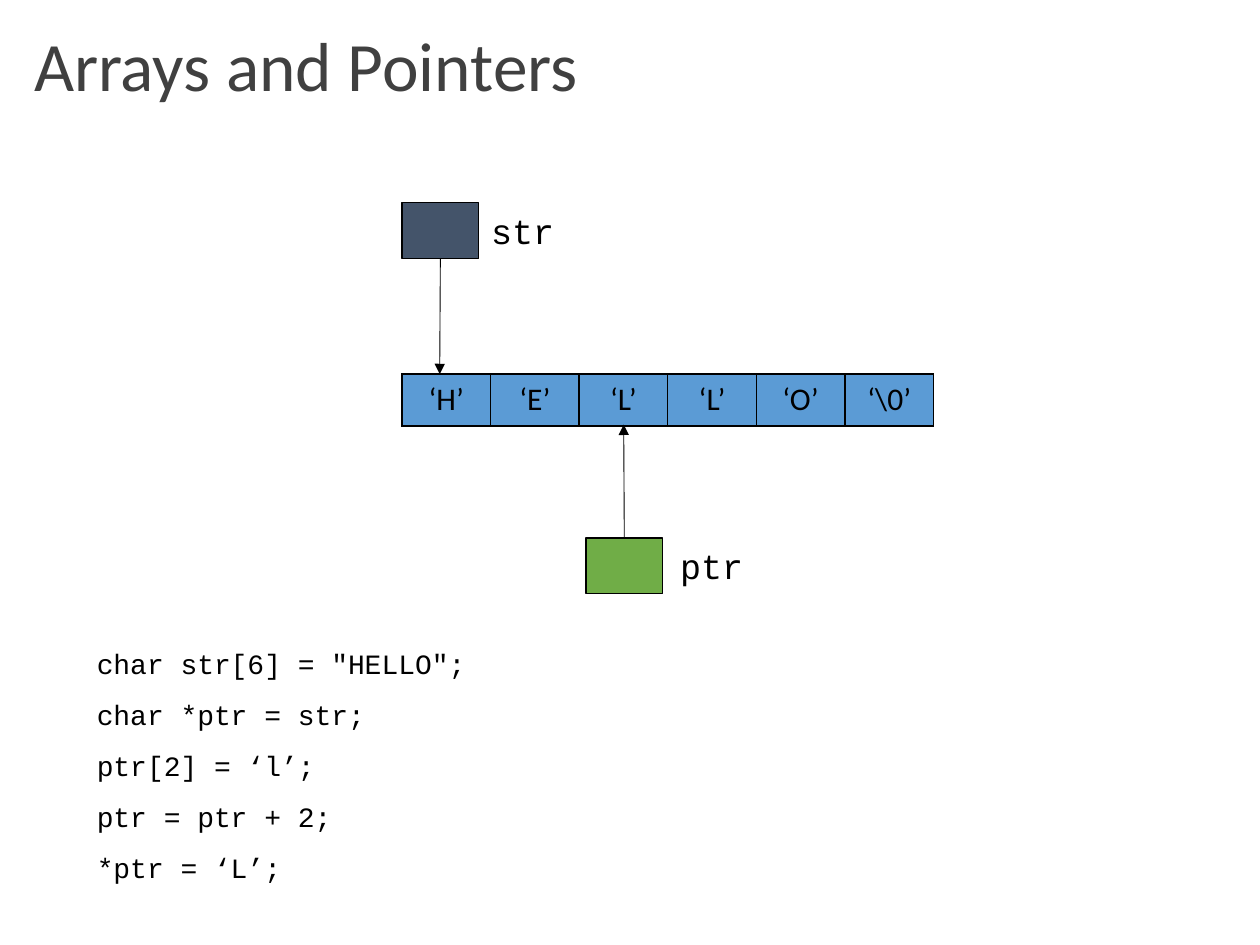
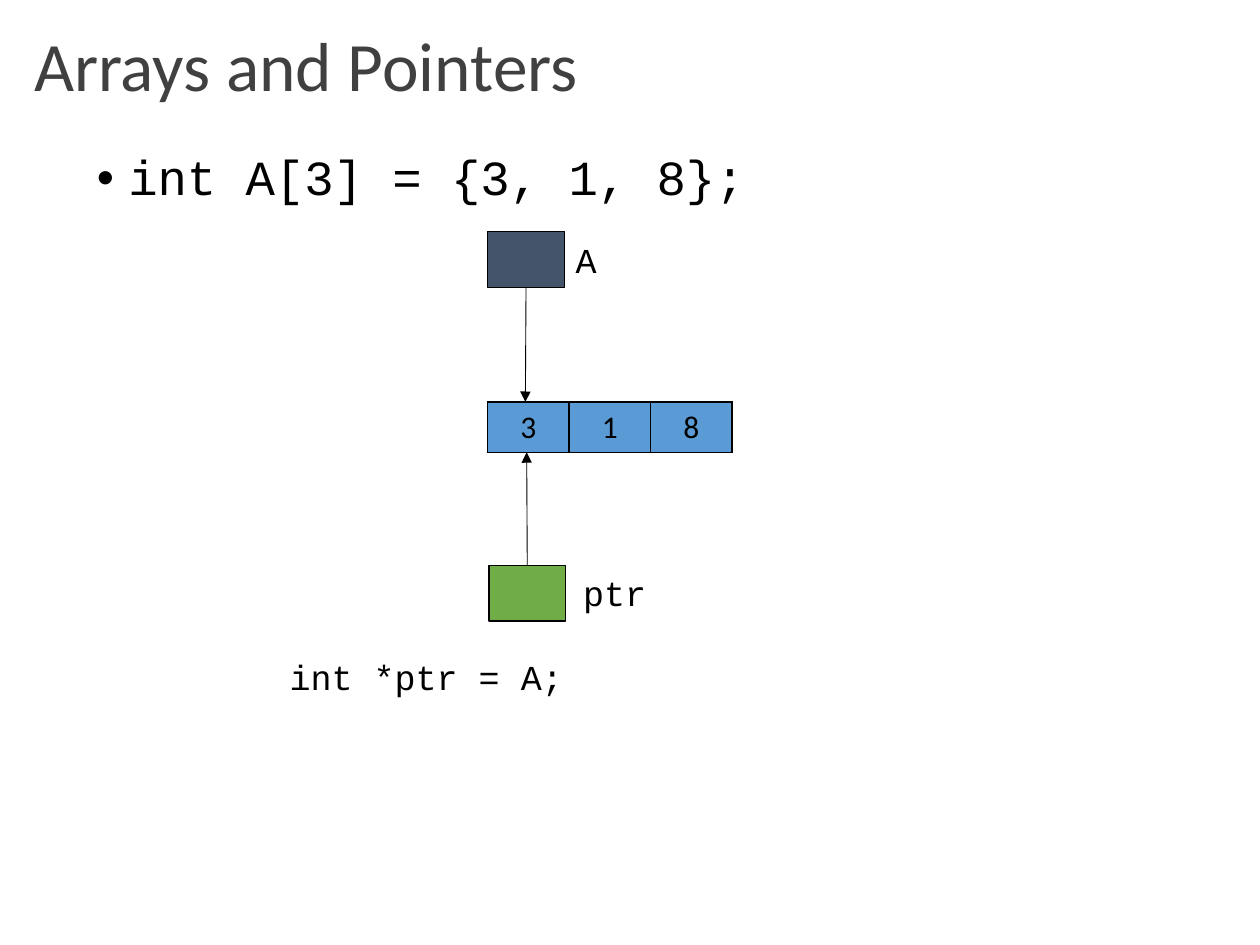
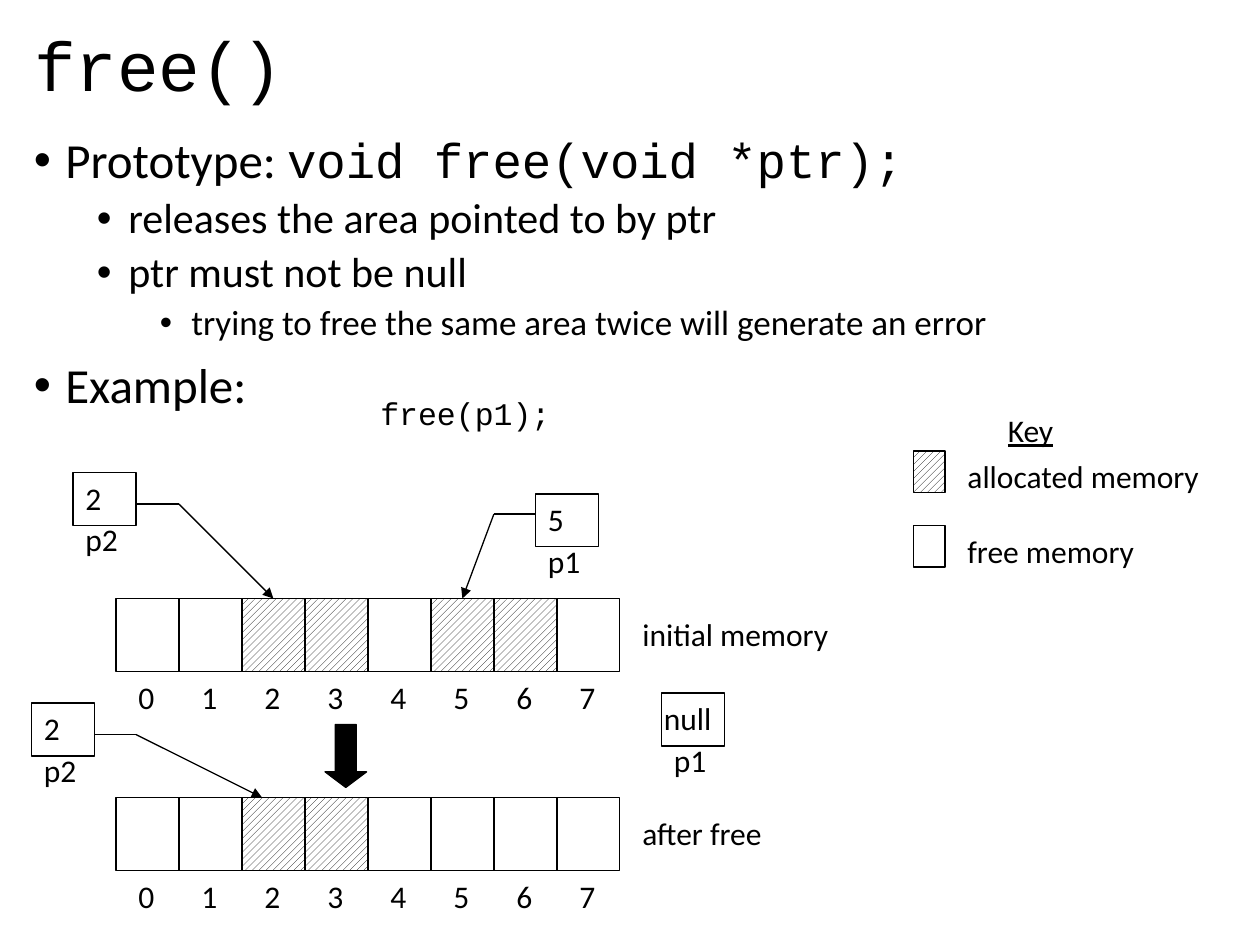
from lxml import etree
from pptx import Presentation
from pptx.dml.color import RGBColor
from pptx.enum.dml import MSO_PATTERN
from pptx.enum.shapes import MSO_CONNECTOR, MSO_SHAPE
from pptx.enum.text import MSO_ANCHOR, MSO_AUTO_SIZE, PP_ALIGN
from pptx.oxml import parse_xml
from pptx.oxml.ns import nsdecls, qn
from pptx.util import Inches, Pt

RECTANGLE = MSO_SHAPE.RECTANGLE
DOWN_ARROW = MSO_SHAPE.DOWN_ARROW
STRAIGHT = MSO_CONNECTOR.STRAIGHT
HATCH = MSO_PATTERN.WIDE_UPWARD_DIAGONAL
MIDDLE = MSO_ANCHOR.MIDDLE
CENTER = PP_ALIGN.CENTER
FIT_SHAPE = MSO_AUTO_SIZE.SHAPE_TO_FIT_TEXT
TOP, BOTTOM = 0, 2

SANS, MONO = "Calibri", "Courier New"
BLACK, WHITE, GRAY = "000000", "FFFFFF", "404040"
NAVY, GREEN, BLUE = "44546A", "70AD47", "5B9BD5"
HATCHED = "hatched"

TITLE_AT = (0.17, 0.18, 9.62, 0.74)
POINTER_SIZE = (0.61, 0.44)
LABEL_SIZE = (1.51, 0.43)
BULLETS = [(28, 0.25, 10), (24, 0.75, 5), (20, 1.25, 5)]

ARRAY_PAGES = [
    {
        "bullets": [],
        "bullets_at": None,
        "code": ['char str[6] = "HELLO";', "char *ptr = str;", "ptr[2] = ‘l’;",
                 "ptr = ptr + 2;", "*ptr = ‘L’;"],
        "code_at": (0.67, 5.08, 5.73, 1.95),
        "code_size": 16,
        "cells": ["‘H’", "‘E’", "‘L’", "‘L’", "‘O’", "‘\\0’"],
        "cells_at": (3.19, 2.97, 4.22, 0.41),
        "pointers": [
            ("str", NAVY, (3.19, 1.61), 3.8, BOTTOM, (3.49, 2.97)),
            ("ptr", GREEN, (4.65, 4.27), 5.3, TOP, (4.95, 3.37)),
        ],
    },
    {
        "bullets": [(0, [("int A[3] = {3, 1, 8};", MONO)])],
        "bullets_at": (0.67, 1.17, 5.73, 1.64),
        "code": ["int *ptr = A;"],
        "code_at": (2.2, 5.15, 4.26, 1.64),
        "code_size": 20,
        "cells": ["3", "1", "8"],
        "cells_at": (3.87, 3.19, 1.94, 0.4),
        "pointers": [
            ("A", NAVY, (3.87, 1.84), 4.47, BOTTOM, (4.17, 3.19)),
            ("ptr", GREEN, (3.88, 4.49), 4.53, TOP, (4.18, 3.59)),
        ],
    },
]

FREE_BULLETS = [
    (0, [("Prototype: ", SANS), ("void free(void *ptr);", MONO)]),
    (1, [("releases the area pointed to by ptr", SANS)]),
    (1, [("ptr must not be null", SANS)]),
    (2, [("trying to free the same area twice will generate an error", SANS)]),
    (0, [("Example:", SANS)]),
]
SLOT_COUNT, SLOT_WIDTH, SLOT_HEIGHT, MEMORY_LEFT = 8, 0.5, 0.58, 0.92
MEMORIES = [
    ("initial memory", 1.74, 4.75, (2, 3, 5, 6)),
    ("after free", 1.2, 6.33, (2, 3)),
]
VARIABLES = [
    ("p2", "2", 0.34, (0.58, 3.75), 0),
    ("p1", "5", 0.34, (4.25, 3.92), 0),
    ("p2", "2", 0.34, (0.25, 5.58), 0),
    ("p1", "null", 0.59, (5.25, 5.5), -0.08),
]
POINTER_PATHS = [
    ((1.08, 4), (1.42, 4), (2.17, 4.75), (0, 2)),
    ((4.25, 4.08), (3.92, 4.08), (3.67, 4.75), (0, 5)),
    ((0.75, 5.83), (1.08, 5.83), (2.08, 6.33), None),
]
KEY = [
    ("allocated memory", 2.17, 3.58, HATCHED),
    ("free memory", 1.6, 4.17, None),
]


def color(value):
    return RGBColor.from_string(value)


def inches(values):
    return [Inches(value) for value in values]


def write(frame, text, size=18, font=SANS, ink=BLACK, level=0, bullet_indent=None,
          before=None, line_spacing=None, align=None, underline=None):
    para = frame.paragraphs[0]
    if para.runs:
        para = frame.add_paragraph()
    para.level = level
    para.alignment = align
    para.line_spacing = line_spacing
    para.space_before = None if before is None else Pt(before)
    spans = [(text, font)] if isinstance(text, str) else text
    for words, face in spans:
        span = para.add_run()
        span.text = words
        span.font.name = face
        span.font.size = Pt(size)
        span.font.underline = underline
        span.font.color.rgb = color(ink)
    if bullet_indent is not None:
        properties = para._p.get_or_add_pPr()
        properties.set("marL", str(Inches(bullet_indent)))
        properties.set("indent", str(Inches(-0.25)))
        etree.SubElement(properties, qn("a:buFont")).set("typeface", "Arial")
        etree.SubElement(properties, qn("a:buChar")).set("char", "•")


def add_frame(page, at):
    frame = page.shapes.add_textbox(*inches(at)).text_frame
    frame.word_wrap = True
    return frame


def add_label(page, text, left, top, width, **style):
    frame = add_frame(page, (left, top, width, 0.4))
    frame.word_wrap = False
    frame.auto_size = FIT_SHAPE
    write(frame, text, **style)


def add_bullets(page, at, items):
    frame = add_frame(page, at)
    for level, spans in items:
        size, indent, before = BULLETS[level]
        write(frame, spans, size=size, level=level, bullet_indent=indent,
              before=before, line_spacing=0.9)


def add_box(page, at, fill=None, preset=RECTANGLE):
    box = page.shapes.add_shape(preset, *inches(at))
    box.shadow.inherit = False
    box.line.color.rgb = color(BLACK)
    box.line.width = Pt(0.75)
    if fill is None:
        box.fill.background()
    elif fill == HATCHED:
        box.fill.patterned()
        box.fill.pattern = HATCH
        box.fill.fore_color.rgb = color(BLACK)
        box.fill.back_color.rgb = color(WHITE)
    else:
        box.fill.solid()
        box.fill.fore_color.rgb = color(fill)
    return box


def add_line(page, start, end, width=0.75, arrow=False):
    line = page.shapes.add_connector(STRAIGHT, *inches(start + end))
    line.line.color.rgb = color(BLACK)
    line.line.width = Pt(width)
    if arrow:
        etree.SubElement(line.line._get_or_add_ln(), qn("a:tailEnd")).set("type", "triangle")
    etree.SubElement(line._element.spPr, qn("a:effectLst"))
    return line


def add_cells(page, at, values):
    table = page.shapes.add_table(1, len(values), *inches(at)).table
    table.first_row = table.horz_banding = False
    for column, value in enumerate(values):
        table.columns[column].width = Inches(at[2] / len(values))
        cell = table.cell(0, column)
        cell.fill.solid()
        cell.fill.fore_color.rgb = color(BLUE)
        cell.vertical_anchor = MIDDLE
        write(cell.text_frame, value, align=CENTER)
        properties = cell._tc.get_or_add_tcPr()
        for place, side in enumerate("LRTB"):
            properties.insert(place, parse_xml(
                f'<a:ln{side} {nsdecls("a")} w="{Pt(1)}"><a:solidFill>'
                f'<a:srgbClr val="{BLACK}"/></a:solidFill></a:ln{side}>'))


def add_page(deck, title, font=SANS, ink=GRAY):
    page = deck.slides.add_slide(deck.slide_layouts[5])
    heading = page.shapes.title
    heading.left, heading.top, heading.width, heading.height = inches(TITLE_AT)
    heading.text_frame.vertical_anchor = MIDDLE
    heading.text_frame.auto_size = MSO_AUTO_SIZE.NONE
    write(heading.text_frame, title, size=39.6, font=font, ink=ink,
          line_spacing=0.9, align=PP_ALIGN.LEFT)
    return page


def add_array_page(deck, content):
    page = add_page(deck, "Arrays and Pointers")
    if content["bullets"]:
        add_bullets(page, content["bullets_at"], content["bullets"])
    code = add_frame(page, content["code_at"])
    for statement in content["code"]:
        write(code, statement, size=content["code_size"], font=MONO, before=10)
    add_cells(page, content["cells_at"], content["cells"])
    for name, fill, corner, label_left, side, target in content["pointers"]:
        box = add_box(page, corner + POINTER_SIZE, fill)
        add_line(page, corner, target, 0.5, arrow=True).begin_connect(box, side)
        label = add_frame(page, (label_left, corner[1]) + LABEL_SIZE)
        write(label, name, size=20, font=MONO)


def add_memory(page, name, name_width, top, allocated):
    bottom = top + SLOT_HEIGHT
    bar = add_box(page, (MEMORY_LEFT, top, SLOT_COUNT * SLOT_WIDTH, SLOT_HEIGHT))
    slots = {}
    for slot in range(SLOT_COUNT):
        left = MEMORY_LEFT + slot * SLOT_WIDTH
        if slot > 0:
            divider = add_line(page, (left, top), (left, bottom))
            if slot * 2 == SLOT_COUNT:
                divider.begin_connect(bar, TOP)
                divider.end_connect(bar, BOTTOM)
        if slot in allocated:
            slots[slot] = add_box(page, (left, top, SLOT_WIDTH, SLOT_HEIGHT), HATCHED)
        add_label(page, str(slot), left + 0.08, bottom, 0.34)
    add_label(page, name, 5, top + 0.08, name_width)
    return slots


def add_free_page(deck):
    page = add_page(deck, "free()", MONO, BLACK)
    add_bullets(page, (0.17, 1.03, 9.62, 5.73), FREE_BULLETS)
    add_label(page, "free(p1);", 2.92, 3.08, 1.56, font=MONO)
    memories = [add_memory(page, *memory) for memory in MEMORIES]

    for name, value, value_width, (left, top), shift in VARIABLES:
        add_box(page, (left, top, 0.5, 0.42))
        add_label(page, name, left, top + 0.33, 0.48)
        add_label(page, value, left + shift, top, value_width)
    for start, bend, end, target in POINTER_PATHS:
        add_line(page, start, bend)
        arrow = add_line(page, bend, end, arrow=True)
        if target:
            memory, slot = target
            arrow.end_connect(memories[memory][slot], TOP)

    add_label(page, "Key", 7.9, 3.21, 0.63, underline=True)
    for meaning, width, top, fill in KEY:
        add_box(page, (7.25, top, 0.25, 0.33), fill)
        add_label(page, meaning, 7.58, top, width)
    step = add_box(page, (2.58, 5.75, 0.33, 0.5), BLACK, DOWN_ARROW)
    step.adjustments[0], step.adjustments[1] = 0.5, 0.375


def main():
    deck = Presentation()
    deck.slide_width, deck.slide_height = Inches(10), Inches(7.5)
    for content in ARRAY_PAGES:
        add_array_page(deck, content)
    add_free_page(deck)
    deck.save("out.pptx")


if __name__ == "__main__":
    main()
